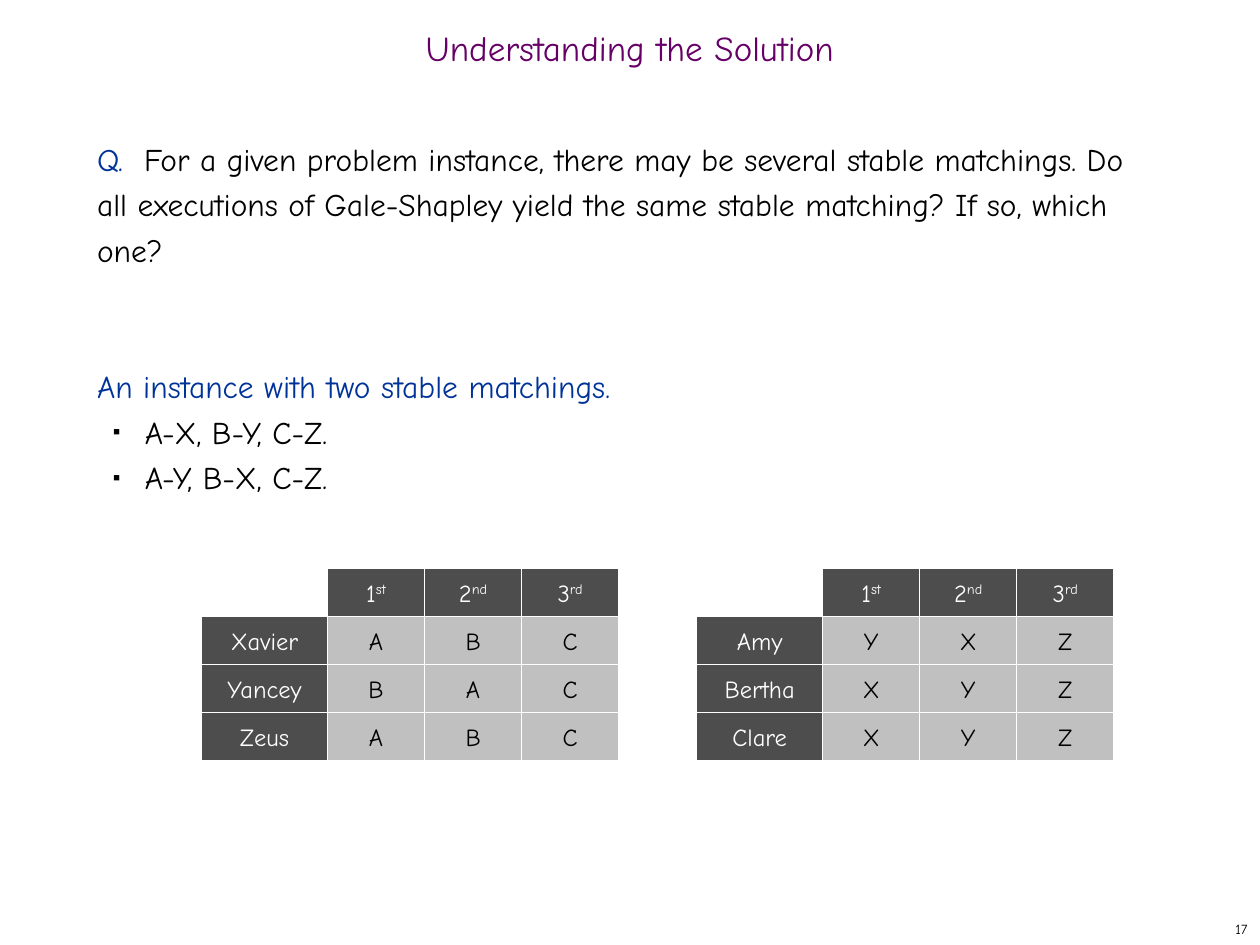
from lxml import etree
from pptx import Presentation
from pptx.dml.color import RGBColor
from pptx.enum.shapes import MSO_SHAPE
from pptx.enum.text import MSO_ANCHOR, MSO_AUTO_SIZE, PP_ALIGN
from pptx.oxml.ns import qn
from pptx.util import Inches, Pt

RECTANGLE = MSO_SHAPE.RECTANGLE
CENTER, RIGHT = PP_ALIGN.CENTER, PP_ALIGN.RIGHT
MIDDLE, TOP = MSO_ANCHOR.MIDDLE, MSO_ANCHOR.TOP
NO_AUTOFIT = MSO_AUTO_SIZE.NONE

FONT, BULLET_FONT = "Comic Neue", "Arial"
PURPLE, BLUE, BLACK, WHITE = "660066", "003399", "000000", "FFFFFF"
DARK_GRAY, LIGHT_GRAY = "4D4D4D", "C0C0C0"

FRAME_FORMAT = {
    "word_wrap": True,
    "auto_size": NO_AUTOFIT,
    "margin_left": Inches(0.1),
    "margin_right": Inches(0.1),
    "margin_top": Inches(0.05),
    "margin_bottom": Inches(0.05),
}
CENTERED_FRAME = {**FRAME_FORMAT, "vertical_anchor": MIDDLE}
BODY_LINE = {"line_spacing": Pt(26), "space_before": Pt(0)}
SECTION_GAP = Pt(52)

RANKS = [("1", "st"), ("2", "nd"), ("3", "rd")]
MEN = {"Xavier": "ABC", "Yancey": "BAC", "Zeus": "ABC"}
WOMEN = {"Amy": "YXZ", "Bertha": "XYZ", "Clare": "XYZ"}


def color(hex_value):
    return RGBColor.from_string(hex_value)


def apply_format(target, values):
    for attribute, value in values.items():
        setattr(target, attribute, value)


def place(shape, box):
    sides = ("left", "top", "width", "height")
    apply_format(shape, dict(zip(sides, map(Inches, box))))


def add_run(paragraph, text, size, hex_value, superscript=False):
    run = paragraph.add_run()
    run.text = text
    apply_format(run.font, {"name": FONT, "size": Pt(size), "bold": False})
    run.font.color.rgb = color(hex_value)
    if superscript:
        run.font._element.set("baseline", "30000")


def add_xml(parent, tag, **attributes):
    return etree.SubElement(parent, qn(tag), attributes)


def set_indent(paragraph, left, first_line):
    properties = paragraph._p.get_or_add_pPr()
    properties.set("marL", str(Inches(left)))
    properties.set("indent", str(Inches(first_line)))
    return properties


def set_bullet(paragraph):
    properties = set_indent(paragraph, 0.38, -0.25)
    add_xml(add_xml(properties, "a:buClr"), "a:srgbClr", val=BLACK)
    add_xml(properties, "a:buSzPct", val="35000")
    add_xml(properties, "a:buFont", typeface=BULLET_FONT)
    add_xml(properties, "a:buChar", char="■")


def fill_title(title, box):
    place(title, box)
    frame = title.text_frame
    apply_format(frame, CENTERED_FRAME)
    heading = frame.paragraphs[0]
    apply_format(heading, {"alignment": CENTER, "line_spacing": 0.7})
    add_run(heading, "Understanding the Solution", 20, PURPLE)


def fill_body(body, box):
    place(body, box)
    frame = body.text_frame
    apply_format(frame, {**FRAME_FORMAT, "vertical_anchor": TOP})

    # Question and the heading of the example
    question, example = frame.paragraphs[0], frame.add_paragraph()
    for paragraph in (question, example):
        apply_format(paragraph, BODY_LINE)
        add_xml(set_indent(paragraph, 0, 0), "a:buNone")
    example.space_before = SECTION_GAP
    add_run(question, "Q.  ", 18, BLUE)
    add_run(
        question,
        "For a given problem instance, there may be several stable matchings. "
        "Do all executions of Gale-Shapley yield the same stable matching? "
        "If so, which one?",
        18,
        BLACK,
    )
    add_run(example, "An instance with two stable matchings.", 18, BLUE)

    # The two matchings
    for matching in ("A-X, B-Y, C-Z.", "A-Y, B-X, C-Z."):
        item = frame.add_paragraph()
        apply_format(item, {**BODY_LINE, "level": 1})
        set_bullet(item)
        add_run(item, matching, 18, BLACK)


def add_tile(slide, box, text, suffix, is_label):
    tile = slide.shapes.add_shape(RECTANGLE, *map(Inches, box))
    tile.shadow.inherit = False
    tile.fill.solid()
    tile.fill.fore_color.rgb = color(DARK_GRAY if is_label else LIGHT_GRAY)
    tile.line.color.rgb = color(WHITE)
    tile.line.width = Pt(0.75)

    frame = tile.text_frame
    apply_format(frame, {**CENTERED_FRAME, "word_wrap": False})
    paragraph = frame.paragraphs[0]
    paragraph.alignment = CENTER
    ink = WHITE if is_label else BLACK
    add_run(paragraph, text, 14, ink)
    if suffix:
        add_run(paragraph, suffix, 14, ink, superscript=True)


def add_preferences(slide, box, preferences):
    left, top, width, height = box
    name_width = 1
    rank_width = (width - name_width) / len(RANKS)
    row_height = height / (len(preferences) + 1)

    # Rank headings above an empty corner, then one row per person
    rows = [[None, *RANKS]]
    for name, choices in preferences.items():
        rows.append([(entry, "") for entry in (name, *choices)])

    for row, entries in enumerate(rows):
        y = top + row * row_height
        for column, entry in enumerate(entries):
            if entry is None:
                continue
            is_name = column == 0
            x = left if is_name else left + name_width + (column - 1) * rank_width
            tile_width = name_width if is_name else rank_width
            tile_box = (x, y, tile_width, row_height)
            add_tile(slide, tile_box, *entry, is_label=is_name or row == 0)


def add_page_number(slide, box, number):
    frame = slide.shapes.add_textbox(*map(Inches, box)).text_frame
    apply_format(frame, CENTERED_FRAME)
    frame.paragraphs[0].alignment = RIGHT
    add_run(frame.paragraphs[0], number, 8, BLACK)


def main():
    presentation = Presentation()
    presentation.slide_width = Inches(10)
    presentation.slide_height = Inches(7.5)
    slide = presentation.slides.add_slide(presentation.slide_layouts[1])

    fill_title(slide.shapes.title, (0, 0.17, 10, 0.5))
    fill_body(slide.placeholders[1], (0.67, 1, 8.58, 5.92))
    for left, preferences in ((1.6, MEN), (5.53, WOMEN)):
        add_preferences(slide, (left, 4.51, 3.31, 1.53), preferences)
    add_page_number(slide, (7.92, 7.25, 2.08, 0.25), "17")

    presentation.save("out.pptx")


if __name__ == "__main__":
    main()
